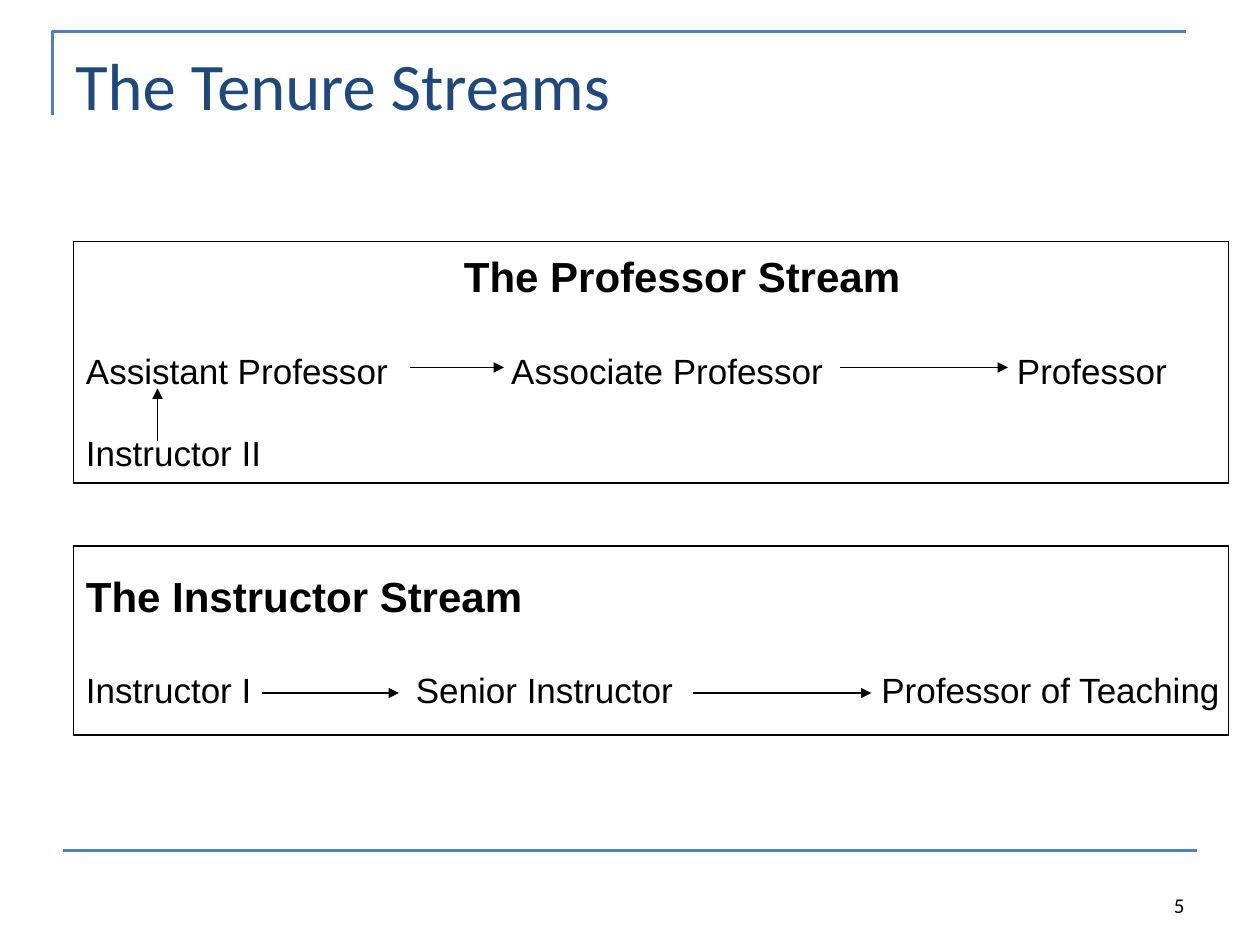
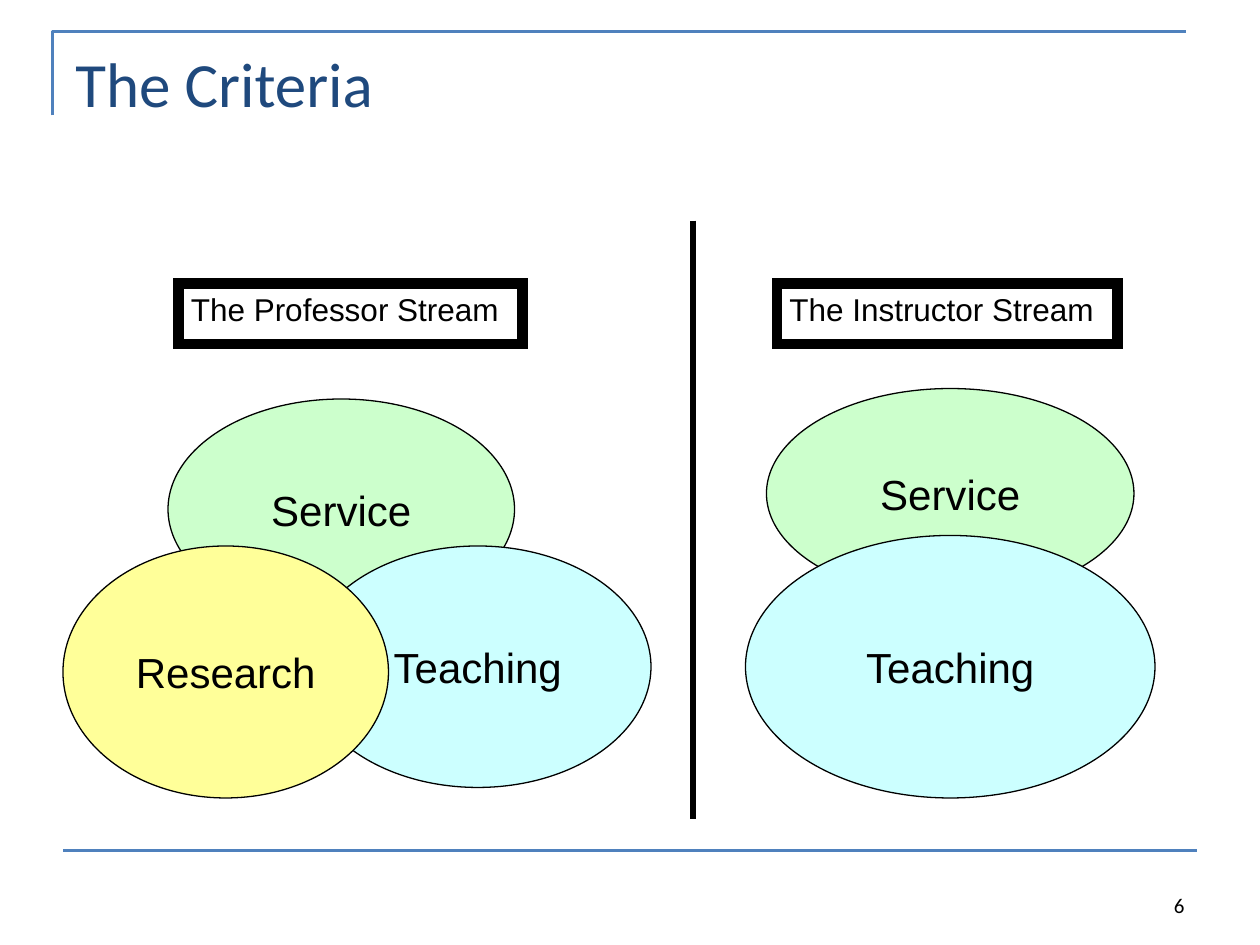
from pptx import Presentation
from pptx.dml.color import RGBColor
from pptx.enum.shapes import MSO_CONNECTOR, MSO_SHAPE
from pptx.enum.text import MSO_ANCHOR, PP_ALIGN
from pptx.oxml.ns import qn
from pptx.util import Pt
from lxml.etree import SubElement

COLORS = {
    "black": "000000",
    "title": "1F497D",
    "rule": "4F81BD",
    "service": "CCFFCC",
    "teaching": "CCFFFF",
    "research": "FFFF99",
}


def write(shape, text, size=20, font="Arial", color="black", bold=False,
          align=PP_ALIGN.LEFT, anchor=MSO_ANCHOR.MIDDLE, wrap=True, before=0, tabs=()):
    """Add one paragraph, reusing the empty first one."""
    frame = shape.text_frame
    frame.word_wrap = wrap
    frame.vertical_anchor = anchor
    paragraph = frame.add_paragraph() if frame.text else frame.paragraphs[0]
    paragraph.alignment = align
    if before:
        paragraph.space_before = Pt(before)
    if tabs:
        stops = SubElement(paragraph._p.get_or_add_pPr(), qn("a:tabLst"))
        for position in tabs:
            SubElement(stops, qn("a:tab"), pos=str(Pt(position)), algn="l")
    run = paragraph.add_run()
    run.text = text
    run.font.size = Pt(size)
    run.font.name = font
    run.font.bold = bold
    run.font.color.rgb = RGBColor.from_string(COLORS[color])


def draw_line(slide, x1, y1, x2, y2, color="black", width=0.75, arrow=False):
    line = slide.shapes.add_connector(
        MSO_CONNECTOR.STRAIGHT, Pt(x1), Pt(y1), Pt(x2), Pt(y2))
    line.line.color.rgb = RGBColor.from_string(COLORS[color])
    line.line.width = Pt(width)
    if arrow:
        SubElement(line.line._get_or_add_ln(), qn("a:tailEnd"), type="triangle")
    SubElement(line._element.spPr, qn("a:effectLst"))


prs = Presentation()
prs.slide_width, prs.slide_height = Pt(720), Pt(540)

# Shared frame: corner rule, footer rule, title and page number
slides = []
for heading, heading_size, page in [("The Tenure Streams", 38, "5"), ("The Criteria", 36, "6")]:
    slide = prs.slides.add_slide(prs.slide_layouts[6])
    outline = slide.shapes.build_freeform(Pt(30), Pt(66))
    outline.add_line_segments([(Pt(30), Pt(18)), (Pt(678), Pt(18))], close=False)
    corner = outline.convert_to_shape()
    corner.shadow.inherit = False
    corner.fill.background()
    corner.line.color.rgb = RGBColor.from_string(COLORS["rule"])
    corner.line.width = Pt(1.5)
    draw_line(slide, 36, 486, 684, 486, color="rule", width=1.5)

    title = slide.shapes.add_textbox(Pt(36), Pt(21.6), Pt(648), Pt(90))
    write(title, heading, size=heading_size, font="Calibri", color="title",
          anchor=MSO_ANCHOR.TOP)
    page_number = slide.shapes.add_textbox(Pt(516), Pt(492), Pt(168), Pt(36))
    write(page_number, page, size=12, font="Calibri", align=PP_ALIGN.RIGHT,
          anchor=MSO_ANCHOR.BOTTOM)
    slides.append(slide)
streams, criteria = slides

# Tenure streams: a heading and tabbed ranks in each panel
HEADING = {"size": 24, "bold": True}
panels = [
    (138, 138, [
        ("\tThe Professor Stream", {**HEADING, "tabs": [216]}),
        ("Assistant Professor\tAssociate Professor\tProfessor",
         {"before": 27.5, "tabs": [243, 532]}),
        ("Instructor II", {"before": 23}),
    ]),
    (312, 108, [
        ("The Instructor Stream", HEADING),
        ("Instructor I\tSenior Instructor\tProfessor of Teaching",
         {"before": 27.5, "tabs": [188.5, 454.5]}),
    ]),
]
for top, height, paragraphs in panels:
    panel = streams.shapes.add_shape(
        MSO_SHAPE.RECTANGLE, Pt(42), Pt(top), Pt(660), Pt(height))
    panel.shadow.inherit = False
    panel.fill.background()
    panel.line.color.rgb = RGBColor.from_string(COLORS["black"])
    panel.line.width = Pt(0.75)
    panel.text_frame.margin_right = 0
    for text, style in paragraphs:
        write(panel, text, **style)

# Promotion arrows between the ranks
for promotion in [(234, 210, 288, 210), (480, 210, 576, 210), (90, 252, 90, 222),
                  (150, 396, 228, 396), (396, 396, 498, 396)]:
    draw_line(streams, *promotion, arrow=True)

# Criteria: a framed label over each stream
for text, left, width in [("The Professor Stream", 102, 196.5),
                          ("The Instructor Stream", 444, 194.5)]:
    label = criteria.shapes.add_shape(
        MSO_SHAPE.RECTANGLE, Pt(left), Pt(162), Pt(width), Pt(34.5))
    label.shadow.inherit = False
    label.fill.background()
    label.line.color.rgb = RGBColor.from_string(COLORS["black"])
    label.line.width = Pt(6)
    SubElement(label.line._get_or_add_ln(), qn("a:miter"), lim="800000")
    write(label, text, size=18, anchor=MSO_ANCHOR.TOP)

# Overlapping criteria, from back to front
for text, left, top, width, height in [
    ("Service", 96, 228, 198, 126),
    ("Service", 438, 222, 210, 120),
    ("Teaching", 426, 306, 234, 150),
    ("Teaching", 174, 312, 198, 138),
    ("Research", 36, 312, 186, 144),
]:
    criterion = criteria.shapes.add_shape(
        MSO_SHAPE.OVAL, Pt(left), Pt(top), Pt(width), Pt(height))
    criterion.shadow.inherit = False
    criterion.fill.solid()
    criterion.fill.fore_color.rgb = RGBColor.from_string(COLORS[text.lower()])
    criterion.line.color.rgb = RGBColor.from_string(COLORS["black"])
    criterion.line.width = Pt(0.75)
    write(criterion, text, size=24, align=PP_ALIGN.CENTER, wrap=False)

# Divider between the two streams
draw_line(criteria, 396, 126, 396, 468, width=3)

prs.save("out.pptx")
